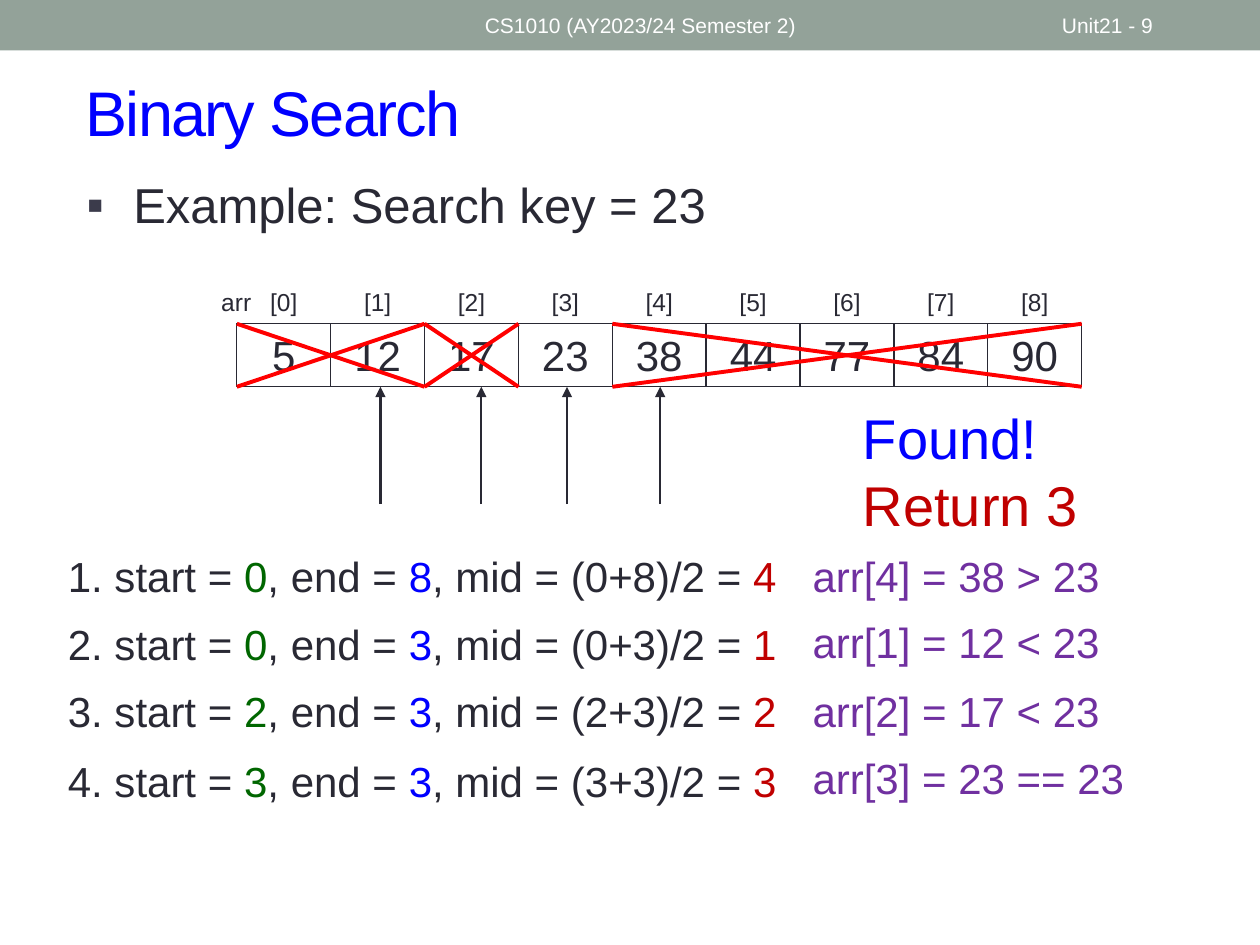
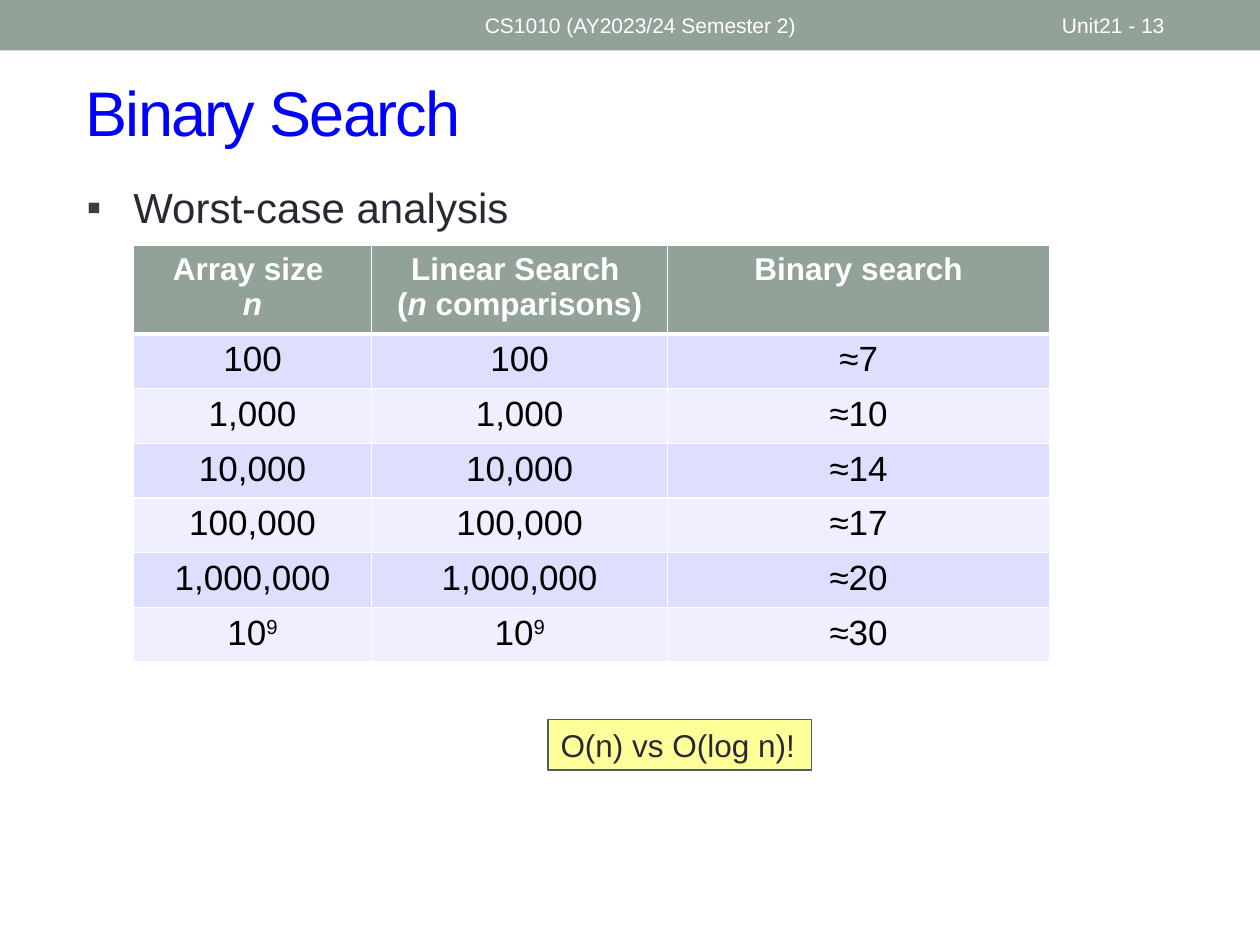
"""Build two slides on binary search: a worked example and its worst case."""
import pptx
import pptx.dml.color
import pptx.enum.shapes
import pptx.enum.text
import pptx.oxml
import pptx.oxml.ns
import pptx.util
from pptx.util import Inches

RGBColor = pptx.dml.color.RGBColor
MSO_SHAPE = pptx.enum.shapes.MSO_SHAPE
PP_ALIGN = pptx.enum.text.PP_ALIGN
MSO_ANCHOR = pptx.enum.text.MSO_ANCHOR

WHITE = RGBColor(0xFF, 0xFF, 0xFF)
BLACK = RGBColor(0x00, 0x00, 0x00)
SAGE = RGBColor(0x93, 0xA2, 0x99)
INK = RGBColor(0x29, 0x29, 0x34)
BLUE = RGBColor(0x00, 0x00, 0xFF)
GREEN = RGBColor(0x00, 0x66, 0x00)
DARK_RED = RGBColor(0xC0, 0x00, 0x00)
RED = RGBColor(0xFF, 0x00, 0x00)
PURPLE = RGBColor(0x70, 0x30, 0xA0)
YELLOW = RGBColor(0xFF, 0xFF, 0x99)
SLATE = RGBColor(0x4C, 0x5A, 0x6A)
BULLET = RGBColor(0x3B, 0x3B, 0x4B)
BANDS = (RGBColor(0xDE, 0xDE, 0xFF), RGBColor(0xEF, 0xEF, 0xFF))

XML_KEYS = ("spc", "baseline")
FONT = {"name": "Arial", "size": 24, "color": INK}
TITLE = {"size": 36, "color": BLUE, "spc": -100}
BAND_TEXT = {"size": 12, "color": WHITE}
HEAD = {"size": 18, "color": WHITE, "bold": True}
HEAD_ITALIC = {"italic": True}
BODY = {"size": 20, "color": BLACK, "bold": False}
SUPER = {"baseline": 30000}

CELL_W, ARRAY_X, ARRAY_TOP, ARRAY_BOTTOM = 0.745, 1.88, 2.57, 3.07
VALUES = (5, 12, 17, 23, 38, 44, 77, 84, 90)
CROSSED = ((4, 9), (0, 2), (2, 3))
ARROWS_X = (5.24, 3.02, 3.82, 4.5)
STEPS = ((0, 8, 4.32, 4.32, ">"), (0, 3, 4.86, 4.84, "<"),
         (2, 3, 5.39, 5.39, "<"), (3, 3, 5.95, 5.92, "=="))
KEY = 23

TEN_9 = [[("10", {}), ("9", SUPER)]]
HEADER = ([[("Array size ", {})], [("n", HEAD_ITALIC)]],
          [[("Linear Search ", {})],
           [("(", {}), ("n", HEAD_ITALIC), (" comparisons)", {})]],
          "Binary search")
SIZES = ("100", "1,000", "10,000", "100,000", "1,000,000", TEN_9)
BINARY = ("≈7", "≈10", "≈14", "≈17", "≈20", "≈30")
COLUMN_WIDTHS = (1.89, 2.35, 3.03)


def format_run(r, fmt):
    """Apply a dict of font values to a run."""
    for key, value in {**FONT, **fmt}.items():
        if key in XML_KEYS:
            r._r.get_or_add_rPr().set(key, str(value))
        elif key == "color":
            r.font.color.rgb = value
        else:
            setattr(r.font, key, pptx.util.Pt(value) if key == "size" else value)


def write(tf, content, fmt=None, align=PP_ALIGN.LEFT, anchor=MSO_ANCHOR.TOP):
    """Fill a text frame with a string or with paragraphs of (text, format) runs."""
    paragraphs = [[(content, {})]] if isinstance(content, str) else content
    for name, value in {"word_wrap": True, "vertical_anchor": anchor}.items():
        setattr(tf, name, value)
    for i, runs in enumerate(paragraphs):
        p = tf.add_paragraph() if i else tf.paragraphs[0]
        p.alignment = align
        for text, run_fmt in runs:
            r = p.add_run()
            r.text = text
            format_run(r, {**(fmt or {}), **run_fmt})


def add_text(s, box, content, fmt=None, **layout):
    """Add a wrapping text box and return its text frame."""
    tf = s.shapes.add_textbox(*map(Inches, box)).text_frame
    write(tf, content, fmt, **layout)
    return tf


def add_box(s, box, fill=None, line=None, width=0.75):
    """Add a flat rectangle with an optional fill and outline."""
    sp = s.shapes.add_shape(MSO_SHAPE.RECTANGLE, *map(Inches, box))
    sp.shadow.inherit = False
    for target, color in ((sp.fill, fill), (sp.line.fill, line)):
        if color is None:
            target.background()
        else:
            target.solid()
            target.fore_color.rgb = color
    if line is not None:
        sp.line.width = pptx.util.Pt(width)
    return sp


def add_line(s, points, color, width, arrow=False):
    """Add a straight connector, with an arrowhead at its end if asked."""
    cn = s.shapes.add_connector(pptx.enum.shapes.MSO_CONNECTOR.STRAIGHT,
                                *map(Inches, points))
    cn.line.color.rgb = color
    cn.line.width = pptx.util.Pt(width)
    if arrow:
        ln = cn.line._get_or_add_ln()
        pptx.oxml.xmlchemy.OxmlElement("a:tailEnd")
        tail = pptx.oxml.parse_xml(
            f'<a:tailEnd {pptx.oxml.ns.nsdecls("a")} type="triangle"/>')
        ln.append(tail)
    cn._element.spPr.append(
        pptx.oxml.parse_xml(f'<a:effectLst {pptx.oxml.ns.nsdecls("a")}/>'))


def add_bullet(s, text, size, line_spacing):
    """Add the square-bulleted line below the title."""
    tf = add_text(s, (0.59, 1.39, 8.67, 0.59), text, {"size": size})
    p = tf.paragraphs[0]
    p.space_before = pptx.util.Pt(12)
    p.line_spacing = line_spacing
    pPr = p._p.get_or_add_pPr()
    pPr.set("marL", str(Inches(0.37)))
    pPr.set("indent", str(-Inches(0.37)))
    ns = pptx.oxml.ns.nsdecls("a")
    for xml in (f'<a:buClr {ns}><a:srgbClr val="{BULLET}"/></a:buClr>',
                f'<a:buFont {ns} typeface="Arial"/>',
                f'<a:buChar {ns} char="▪"/>'):
        pPr.append(pptx.oxml.parse_xml(xml))


def add_slide(prs, number):
    """Add a slide with the top band, its captions and the title."""
    s = prs.slides.add_slide(prs.slide_layouts[5])
    add_box(s, (0, 0, 10, 0.4), fill=SAGE)
    middle = {"anchor": MSO_ANCHOR.MIDDLE}
    title = s.shapes.title
    box = {"left": 0.58, "top": 0.42, "width": 9.17, "height": 0.92}
    for name, value in box.items():
        setattr(title, name, Inches(value))
    write(title.text_frame, "Binary Search", TITLE, **middle)
    add_text(s, (3.75, 0.02, 4.5, 0.36), "CS1010 (AY2023/24 Semester 2)",
             BAND_TEXT, **middle)
    add_text(s, (8.33, 0.02, 1.17, 0.36), f"Unit21 - {number}",
             BAND_TEXT, **middle)
    return s


def add_array(s):
    """Draw the array cells with their indices."""
    for i, value in enumerate(VALUES):
        x = ARRAY_X + i * CELL_W
        cell = add_box(s, (x, ARRAY_TOP, CELL_W, 0.5), line=INK)
        write(cell.text_frame, str(value), align=PP_ALIGN.CENTER)
        add_text(s, (x, 2.23, CELL_W, 0.34), f"[{i}]", {"size": 14},
                 align=PP_ALIGN.CENTER)
    add_text(s, (1.5, 2.23, 0.75, 0.34), "arr", {"size": 14},
             align=PP_ALIGN.CENTER)


def add_cross(s, first, end):
    """Cross out the array cells from first up to end."""
    left, right = (ARRAY_X + i * CELL_W for i in (first, end))
    for y1, y2 in ((ARRAY_TOP, ARRAY_BOTTOM), (ARRAY_BOTTOM, ARRAY_TOP)):
        add_line(s, (left, y1, right, y2), RED, 2.25)


def add_step(s, number, start, end, top, result_top, sign):
    """Write one search step and the comparison it leads to."""
    mid = (start + end) // 2
    runs = [(f"{number}. start = ", {}), (str(start), {"color": GREEN}),
            (", end = ", {}), (str(end), {"color": BLUE}),
            (f", mid = ({start}+{end})/2 = ", {}),
            (str(mid), {"color": DARK_RED})]
    add_text(s, (0.44, top, 6.29, 0.5), [runs])
    add_text(s, (6.35, result_top, 2.79, 0.5),
             f"arr[{mid}] = {VALUES[mid]} {sign} {KEY}", {"color": PURPLE})


def set_borders(cell, **widths):
    """Give a table cell white borders of the given widths in points."""
    tcPr = cell._tc.get_or_add_tcPr()
    for side in "LRTB":
        width = pptx.util.Pt(widths.get(side, 1))
        tcPr.append(pptx.oxml.parse_xml(
            f'<a:ln{side} {pptx.oxml.ns.nsdecls("a")} w="{width}"><a:solidFill>'
            f'<a:srgbClr val="{WHITE}"/></a:solidFill></a:ln{side}>'))


def add_comparison_table(s):
    """Add the table of comparison counts."""
    rows = [HEADER, *zip(SIZES, SIZES, BINARY)]
    heights = [0.65] + [0.41] * len(SIZES)
    box = (1.06, 1.95, sum(COLUMN_WIDTHS), sum(heights))
    table = s.shapes.add_table(len(rows), len(HEADER), *map(Inches, box)).table
    for column, width in zip(table.columns, COLUMN_WIDTHS):
        column.width = Inches(width)
    for i, (row, height) in enumerate(zip(rows, heights)):
        table.rows[i].height = Inches(height)
        borders = ({"B": 3}, {"T": 3}, {})[min(i, 2)]
        for j, content in enumerate(row):
            cell = table.cell(i, j)
            set_borders(cell, **borders)
            cell.fill.solid()
            cell.fill.fore_color.rgb = BANDS[(i - 1) % 2] if i else SAGE
            write(cell.text_frame, content, BODY if i else HEAD,
                  align=PP_ALIGN.CENTER)


def build_example(prs):
    """Build the slide that traces a search for the key."""
    s = add_slide(prs, 9)
    add_bullet(s, f"Example: Search key = {KEY}", 28, 0.9)
    add_array(s)
    for x in ARROWS_X:
        add_line(s, (x, 4, x, ARRAY_BOTTOM), INK, 1.25, arrow=True)
    for first, end in CROSSED:
        add_cross(s, first, end)
    for number, step in enumerate(STEPS, 1):
        add_step(s, number, *step)
    add_text(s, (6.75, 3.15, 2.18, 1.18),
             [[("Found!", {"color": BLUE})], [("Return 3", {"color": DARK_RED})]],
             {"size": 32})


def build_worst_case(prs):
    """Build the slide that compares linear and binary search."""
    s = add_slide(prs, 13)
    add_bullet(s, "Worst-case analysis", 24, 1.0)
    add_comparison_table(s)
    verdict = add_box(s, (4.35, 5.71, 2.09, 0.4), YELLOW, SLATE, 1)
    write(verdict.text_frame, "O(n) vs O(log n)!", {"size": 18})


def main():
    """Create the presentation and save it."""
    prs = pptx.Presentation()
    prs.slide_width, prs.slide_height = Inches(10), Inches(7.5)
    build_example(prs)
    build_worst_case(prs)
    prs.save("out.pptx")


if __name__ == "__main__":
    main()
